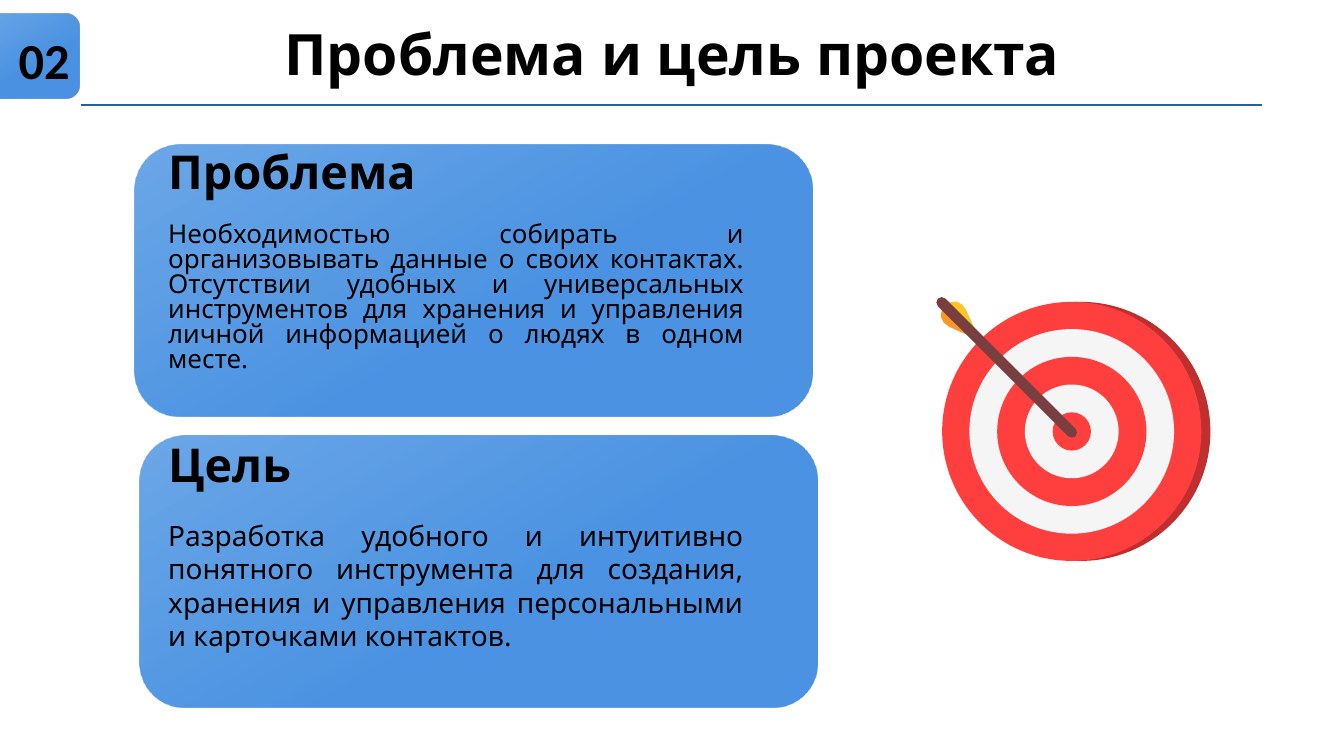
from lxml import etree
from pptx import Presentation
from pptx.dml.color import RGBColor
from pptx.enum.shapes import MSO_CONNECTOR as CONNECTOR, MSO_SHAPE as SHAPE
from pptx.enum.text import MSO_ANCHOR as ANCHOR, PP_ALIGN as ALIGN
from pptx.oxml import parse_xml
from pptx.oxml.ns import qn
from pptx.util import Inches, Pt

GRADIENT = """<a:gradFill xmlns:a="http://schemas.openxmlformats.org/drawingml/2006/main" rotWithShape="1">
<a:gsLst>
<a:gs pos="0"><a:srgbClr val="4B93E2"><a:alpha val="81000"/></a:srgbClr></a:gs>
<a:gs pos="58000"><a:srgbClr val="4B93E2"/></a:gs>
<a:gs pos="100000"><a:srgbClr val="4B93E2"/></a:gs>
</a:gsLst><a:lin ang="3600000" scaled="0"/></a:gradFill>"""


def color(value):
    return RGBColor.from_string(value)


def add_text(place, text, font_values, paragraph_values, anchor=ANCHOR.MIDDLE):
    box = slide.shapes.add_textbox(*map(Inches, place))
    frame = box.text_frame
    frame.word_wrap = True
    frame.vertical_anchor = anchor
    paragraph = frame.paragraphs[0]
    for name, value in paragraph_values.items():
        setattr(paragraph, name, value)
    run = paragraph.add_run()
    run.text = text
    for name, value in font_values.items():
        setattr(run.font, name, value)
    run.font.color.rgb = color("000000")


presentation = Presentation()
presentation.slide_width = Inches(13.33)
presentation.slide_height = Inches(7.5)
slide = presentation.slides.add_slide(presentation.slide_layouts[6])

# Blue panels: number tab, problem, goal
panels = [(-0.19, 0.14, 0.98, 0.84), (1.33, 1.43, 6.73, 2.7), (1.38, 4.32, 6.73, 2.7)]
for place in panels:
    panel = slide.shapes.add_shape(SHAPE.ROUNDED_RECTANGLE, *map(Inches, place))
    panel.adjustments[0] = 0.167
    panel.shadow.inherit = False
    panel.line.fill.background()
    panel.fill.background()
    no_fill = panel.element.spPr.find(qn("a:noFill"))
    panel.element.spPr.replace(no_fill, parse_xml(GRADIENT))

# Target: dark edge, then rings from the outside in
target_x, target_y = 10.63, 4.28
rings = [
    (0.09, 1.285, "BF2F2F"),
    (0, 1.285, "FF3E3E"),
    (0, 1.015, "F5F5F5"),
    (0, 0.74, "FF3E3E"),
    (0, 0.465, "F5F5F5"),
    (0, 0.19, "FF3E3E"),
]
for shift, radius, fill in rings:
    place = (target_x + shift - radius, target_y - radius, 2 * radius, 2 * radius)
    ring = slide.shapes.add_shape(SHAPE.OVAL, *map(Inches, place))
    ring.shadow.inherit = False
    ring.line.fill.background()
    ring.fill.solid()
    ring.fill.fore_color.rgb = color(fill)

# Feathers: the lower one mirrors the upper one across the arrow shaft
upper = [(9.72, 3.38), (9.58, 3.07), (9.54, 3.02), (9.48, 2.99), (9.42, 3), (9.37, 3.03)]
lower = [(y + 6.34, x - 6.34) for x, y in upper]
for points, fill in [(upper, "FEC524"), (lower, "FB9728")]:
    corners = [(Inches(x), Inches(y)) for x, y in points]
    builder = slide.shapes.build_freeform(*corners[0])
    builder.add_line_segments(corners[1:], close=True)
    feather = builder.convert_to_shape()
    feather.shadow.inherit = False
    feather.line.fill.background()
    feather.fill.solid()
    feather.fill.fore_color.rgb = color(fill)

# Title underline and arrow shaft
lines = [((0.8, 1.04, 12.52, 1.04), "2A6099", 1.5, "flat"),
         ((10.63, 4.29, 9.34, 3), "793E40", 7.63, "rnd")]
for ends, stroke, width, cap in lines:
    line = slide.shapes.add_connector(CONNECTOR.STRAIGHT, *map(Inches, ends))
    line.line.color.rgb = color(stroke)
    line.line.width = Pt(width)
    line.line._get_or_add_ln().set("cap", cap)
    etree.SubElement(line.element.spPr, qn("a:effectLst"))

# Slide title and number
add_text((0.92, 0.3, 11.49, 0.61), "Проблема и цель проекта",
         {"name": "Open Sans", "size": Pt(40.7), "bold": True},
         {"alignment": ALIGN.CENTER, "line_spacing": 0.7, "space_before": Pt(14.2)})
add_text((-0.39, 0.39, 1.18, 0.39), "02",
         {"name": "Calibri", "size": Pt(36), "bold": True}, {"alignment": ALIGN.RIGHT})

# Panel headings
for top, heading in [(1.43, "Проблема"), (4.33, "Цель")]:
    add_text((1.57, top, 2.75, 0.61), heading,
             {"name": "Karla", "size": Pt(33.3), "bold": True}, {"line_spacing": 0.9})

# Panel texts
bodies = [
    (2.17, 18.5, 0.8,
     "Необходимостью собирать и организовывать данные о своих контактах. "
     "Отсутствии удобных и универсальных инструментов для хранения и управления "
     "личной информацией о людях в одном месте."),
    (5.09, 20, 1.0,
     "Разработка удобного и интуитивно понятного инструмента для создания, "
     "хранения и управления персональными и карточками контактов."),
]
for top, size, spacing, body in bodies:
    add_text((1.57, top, 5.9, 1.79), body, {"name": "Noto Sans", "size": Pt(size)},
             {"alignment": ALIGN.JUSTIFY, "line_spacing": spacing}, ANCHOR.TOP)

presentation.save("out.pptx")
